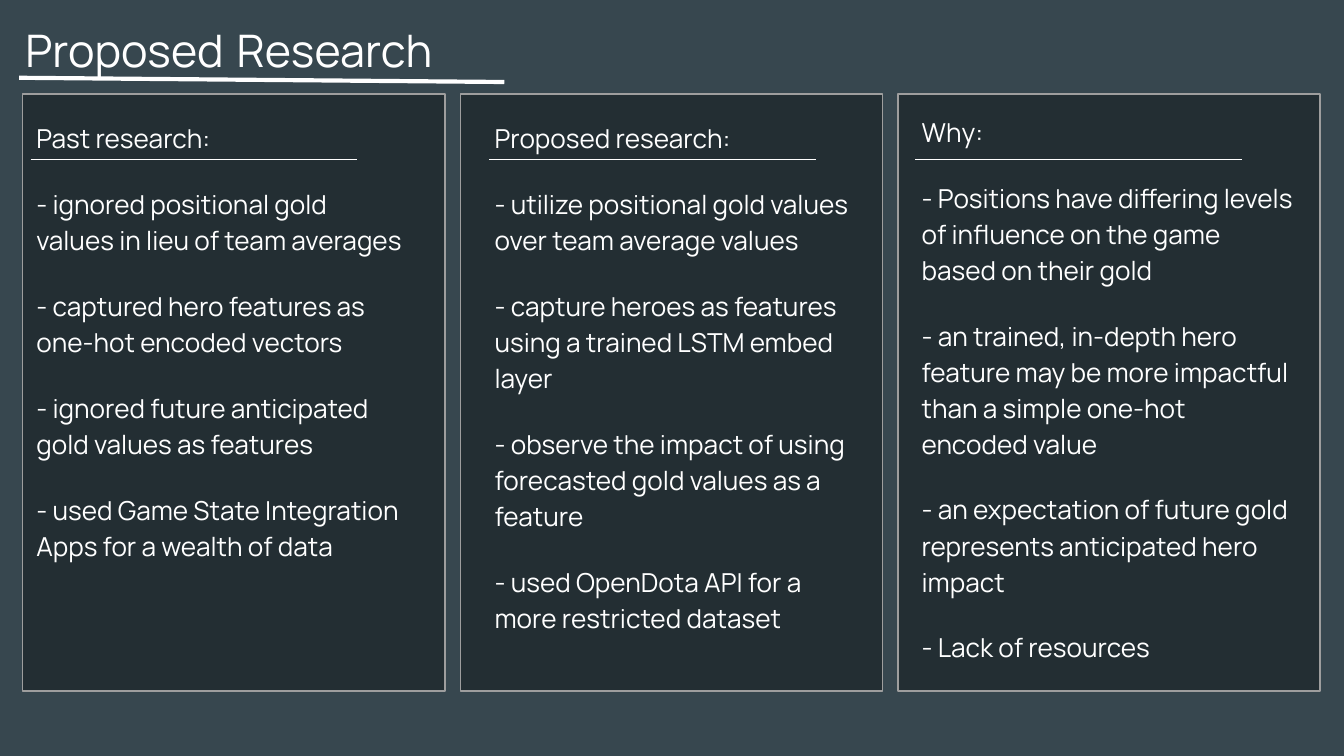
import pptx
import pptx.util
import pptx.dml.color
import pptx.enum.shapes
import pptx.enum.text
import pptx.oxml.ns
import lxml.etree

Cm = pptx.util.Cm
Pt = pptx.util.Pt
MSO_SHAPE = pptx.enum.shapes.MSO_SHAPE

COLORS = {"background": "37474F", "card": "000000", "border": "9E9E9E", "text": "FFFFFF"}

CARD_LEFT, CARD_TOP, CARD_WIDTH, CARD_HEIGHT = 0.43, 1.78, 7.98, 11.28
CARD_PITCH = 8.27
RULE_TOP, RULE_WIDTH = 3.02, 6.17

COLUMNS = [
    {
        "text_at": (0.03, 1.57),
        "rule_left": 0.58,
        "lines": [
            "Past research:",
            "- ignored positional gold values in lieu of team averages",
            "- captured hero features as one-hot encoded vectors",
            "- ignored future anticipated gold values as features",
            "- used Game State Integration Apps for a wealth of data",
        ],
    },
    {
        "text_at": (8.69, 1.57),
        "rule_left": 9.25,
        "lines": [
            "Proposed research:",
            "- utilize positional gold values over team average values",
            "- capture heroes as features using a trained LSTM embed layer",
            "- observe the impact of using forecasted gold values as a feature",
            "- used OpenDota API for a more restricted dataset",
        ],
    },
    {
        "text_at": (16.76, 1.45),
        "rule_left": 17.3,
        "lines": [
            "Why:",
            "- Positions have differing levels of influence on the game based on their gold",
            "- an trained, in-depth hero feature may be more impactful than a simple "
            "one-hot encoded value",
            "- an expectation of future gold represents anticipated hero impact",
            "- Lack of resources",
        ],
    },
]


def rgb(name):
    return pptx.dml.color.RGBColor.from_string(COLORS[name])


class SlideBuilder:
    font = "Manrope"
    body_size = 14
    inset = Cm(0.25)

    def __init__(self, prs):
        self.s = prs.slides.add_slide(prs.slide_layouts[5])
        fill = self.s.background.fill
        fill.solid()
        fill.fore_color.rgb = rgb("background")

    def frame(self, sp):
        tf = sp.text_frame
        tf.word_wrap = True
        tf.auto_size = pptx.enum.text.MSO_AUTO_SIZE.NONE
        tf.vertical_anchor = pptx.enum.text.MSO_ANCHOR.TOP
        tf.margin_left = tf.margin_right = self.inset
        tf.margin_top = tf.margin_bottom = self.inset
        return tf

    def run(self, p, text, size, font=None):
        r = p.add_run()
        r.text = text
        r.font.name = font or self.font
        r.font.size = Pt(size)
        r.font.color.rgb = rgb("text")

    def title(self, runs, left, top, width, height):
        sp = self.s.shapes.title
        sp.left, sp.top, sp.width, sp.height = Cm(left), Cm(top), Cm(width), Cm(height)
        p = self.frame(sp).paragraphs[0]
        p.alignment = pptx.enum.text.PP_ALIGN.LEFT
        for text, size, font in runs:
            self.run(p, text, size, font)

    def shape(self, kind, left, top, width, height):
        sp = self.s.shapes.add_shape(kind, Cm(left), Cm(top), Cm(width), Cm(height))
        sp.shadow.inherit = False
        return sp

    def card(self, left, top, width, height):
        sp = self.shape(MSO_SHAPE.RECTANGLE, left, top, width, height)
        sp.fill.solid()
        sp.fill.fore_color.rgb = rgb("card")
        color = sp.fill._xPr.find(".//" + pptx.oxml.ns.qn("a:srgbClr"))
        lxml.etree.SubElement(color, pptx.oxml.ns.qn("a:alpha"), val="35000")
        sp.line.color.rgb = rgb("border")
        sp.line.width = Pt(0.75)

    def text(self, lines, left, top, width, height):
        sp = self.shape(MSO_SHAPE.ROUNDED_RECTANGLE, left, top, width, height)
        sp.fill.background()
        sp.line.fill.background()
        tf = self.frame(sp)
        for i, line in enumerate(lines):
            p = tf.add_paragraph() if i else tf.paragraphs[0]
            p.alignment = pptx.enum.text.PP_ALIGN.LEFT
            p.line_spacing = 1.15
            p.space_before = Pt(16 if i else 0)
            self.run(p, line, self.body_size)
        p.space_after = Pt(16)

    def line(self, x1, y1, x2, y2, width=0.75):
        sp = self.s.shapes.add_connector(
            pptx.enum.shapes.MSO_CONNECTOR.STRAIGHT, Cm(x1), Cm(y1), Cm(x2), Cm(y2))
        sp.line.color.rgb = rgb("text")
        sp.line.width = Pt(width)
        lxml.etree.SubElement(sp._element.spPr, pptx.oxml.ns.qn("a:effectLst"))


def main():
    prs = pptx.Presentation()
    prs.slide_width, prs.slide_height = Cm(25.4), Cm(14.29)
    slide = SlideBuilder(prs)

    slide.title(
        [("Proposed", 24, "Manrope"), (" ", 30, "Roboto Condensed"), ("Research", 24, "Manrope")],
        0.23, -0.03, 23.67, 1.6)
    for i, column in enumerate(COLUMNS):
        slide.card(CARD_LEFT + i * CARD_PITCH, CARD_TOP, CARD_WIDTH, CARD_HEIGHT)
        slide.text(column["lines"], *column["text_at"], 8.36, 11.38)
        left = column["rule_left"]
        slide.line(left, RULE_TOP, left + RULE_WIDTH, RULE_TOP)
    slide.line(0.36, 1.47, 9.53, 1.55, 2.25)

    prs.save("out.pptx")


if __name__ == "__main__":
    main()
